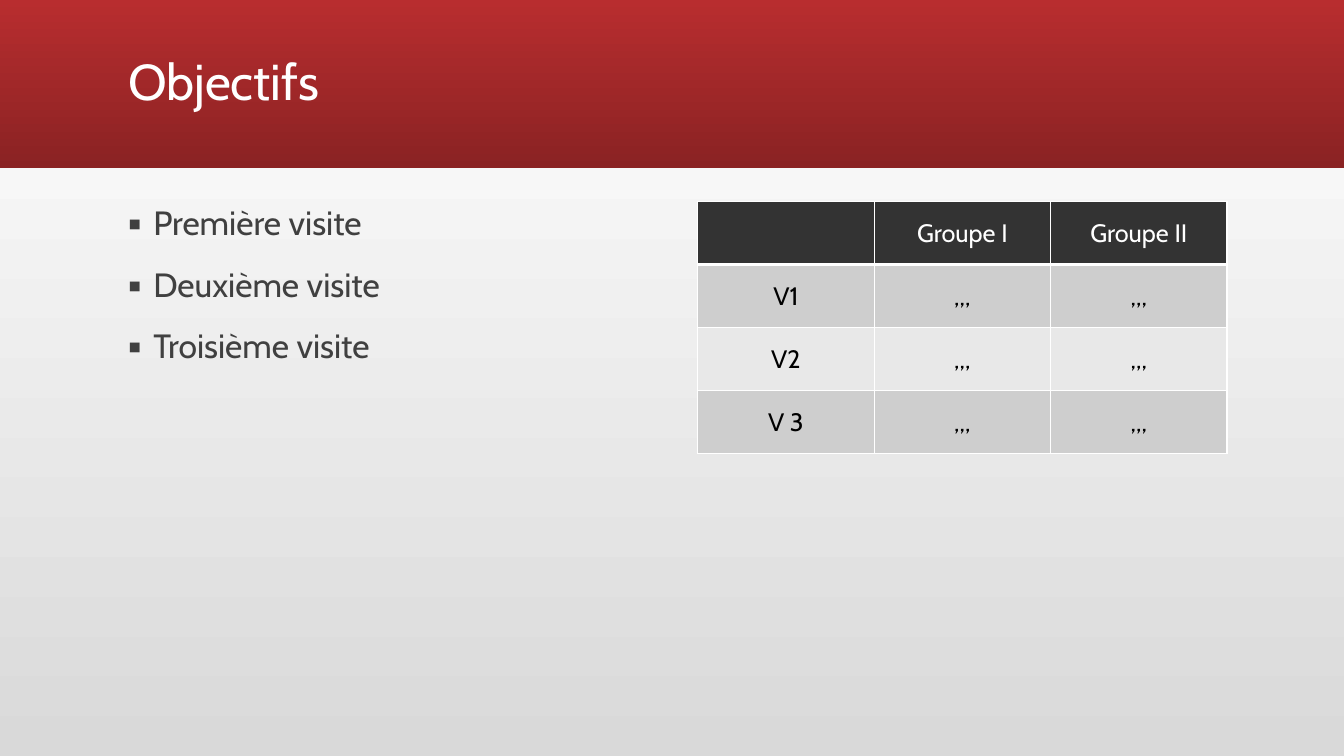
"""Build the objectives slide: a title band, a list of visits and a table of groups."""
from dataclasses import dataclass

from lxml import etree
from pptx import Presentation
from pptx import util as u
from pptx.dml import color, fill as fills
from pptx.enum import shapes, text
from pptx.oxml import ns


@dataclass(frozen=True)
class Theme:
    """Colours, font and type sizes of the slide."""
    font: str = "Cabin"
    title_size: int = 36
    body_size: int = 24
    table_size: int = 18
    white: str = "FFFFFF"
    black: str = "000000"
    body: str = "404040"
    page_bottom: str = "D9D9D9"
    band_top: str = "B82D2F"
    band_bottom: str = "8A2223"
    header: str = "333333"
    stripes: tuple[str, str] = ("CECECE", "E8E8E8")
    thin: int = 1
    thick: int = 3


@dataclass(frozen=True)
class Area:
    """A rectangle in grid columns and rows, counted from the left margin and the top."""
    column: float
    row: float
    columns: float
    rows: float

    def box(self) -> tuple[int, int, int, int]:
        """Return left, top, width and height."""
        return (MARGIN + int(self.column * UNIT), int(self.row * UNIT),
                int(self.columns * UNIT), int(self.rows * UNIT))


THEME = Theme()
UNIT = u.Inches(0.25)
MARGIN = u.Inches(1.17)
SLIDE_WIDTH, SLIDE_HEIGHT = u.Inches(13.33), u.Inches(7.5)
BAND_HEIGHT = u.Inches(1.67)
TITLE = Area(0, 0.44, 44, 5.8)
VISITS = Area(0, 8, 21, 20)
GROUPS = Area(23, 8, 21, 10)
VISIT_NAMES = ("Première visite", "Deuxième visite", "Troisième visite")
GROUP_ROWS = (
    ("", "Groupe I", "Groupe II"),
    ("V1", ",,,", ",,,"),
    ("V2", ",,,", ",,,"),
    ("V\u00a03", ",,,", ",,,"),
)


def rgb(value: str) -> color.RGBColor:
    """Turn a hexadecimal value into a colour."""
    return color.RGBColor.from_string(value)


def set_gradient(fill: fills.FillFormat, start: str, end: str, angle: float) -> None:
    """Fill with a two-colour linear gradient."""
    fill.gradient()
    fill.gradient_angle = angle
    for stop, value in zip(fill.gradient_stops, (start, end)):
        stop.color.rgb = rgb(value)


def add_text(paragraph, words: str, size: int, value: str) -> None:
    """Add one formatted run to a paragraph."""
    run = paragraph.add_run()
    run.text = words
    run.font.name = THEME.font
    run.font.size = u.Pt(size)
    run.font.color.rgb = rgb(value)


def place(shape, area: Area) -> None:
    """Move and size a shape to its area."""
    shape.left, shape.top, shape.width, shape.height = area.box()


def add_band(slide) -> None:
    """Draw the title band behind the placeholders."""
    band = slide.shapes.add_shape(
        shapes.MSO_SHAPE.RECTANGLE, 0, 0, SLIDE_WIDTH, BAND_HEIGHT)
    band.shadow.inherit = False
    band.line.fill.background()
    set_gradient(band.fill, THEME.band_top, THEME.band_bottom, 270)
    slide.shapes._spTree.insert(2, band._element)


def write_title(shape) -> None:
    """Write the title."""
    place(shape, TITLE)
    frame = shape.text_frame
    frame.auto_size = text.MSO_AUTO_SIZE.NONE
    frame.vertical_anchor = text.MSO_ANCHOR.MIDDLE
    paragraph = frame.paragraphs[0]
    paragraph.alignment = text.PP_ALIGN.LEFT
    paragraph.line_spacing = 0.9
    add_text(paragraph, "Objectifs", THEME.title_size, THEME.white)


def write_visits(shape) -> None:
    """Write the bulleted list of visits."""
    place(shape, VISITS)
    frame = shape.text_frame
    frame.auto_size = text.MSO_AUTO_SIZE.NONE
    for index, name in enumerate(VISIT_NAMES):
        paragraph = frame.add_paragraph() if index else frame.paragraphs[0]
        paragraph.line_spacing = 0.9
        paragraph.space_before = u.Pt(18)
        properties = paragraph._p.get_or_add_pPr()
        properties.set("marL", str(UNIT))
        properties.set("indent", str(-UNIT))
        etree.SubElement(properties, ns.qn("a:buFont"), typeface=THEME.font)
        etree.SubElement(properties, ns.qn("a:buChar"), char="▪")
        add_text(paragraph, name, THEME.body_size, THEME.body)


def set_borders(cell, top: int, bottom: int) -> None:
    """Give a cell white borders, with the top and bottom widths in points."""
    properties = cell._tc.get_or_add_tcPr()
    sides = {"L": THEME.thin, "R": THEME.thin, "T": top, "B": bottom}
    for index, (side, width) in enumerate(sides.items()):
        line = etree.Element(ns.qn(f"a:ln{side}"), w=str(u.Pt(width)))
        solid = etree.SubElement(line, ns.qn("a:solidFill"))
        etree.SubElement(solid, ns.qn("a:srgbClr"), val=THEME.white)
        properties.insert(index, line)


def add_groups(slide) -> None:
    """Add the table of visits by group."""
    table = slide.shapes.add_table(
        len(GROUP_ROWS), len(GROUP_ROWS[0]), *GROUPS.box()).table
    for row, entries in enumerate(GROUP_ROWS):
        is_header = row == 0
        for column, words in enumerate(entries):
            cell = table.cell(row, column)
            cell.fill.solid()
            cell.fill.fore_color.rgb = rgb(
                THEME.header if is_header else THEME.stripes[(row - 1) % 2])
            cell.vertical_anchor = text.MSO_ANCHOR.MIDDLE
            set_borders(cell, THEME.thick if row == 1 else THEME.thin,
                        THEME.thick if is_header else THEME.thin)
            if words:
                paragraph = cell.text_frame.paragraphs[0]
                paragraph.alignment = text.PP_ALIGN.CENTER
                add_text(paragraph, words, THEME.table_size,
                         THEME.white if is_header else THEME.black)


def main() -> None:
    """Build and save the presentation."""
    presentation = Presentation()
    presentation.slide_width, presentation.slide_height = SLIDE_WIDTH, SLIDE_HEIGHT
    slide = presentation.slides.add_slide(presentation.slide_layouts[1])
    set_gradient(slide.background.fill, THEME.page_bottom, THEME.white, 90)
    add_band(slide)
    write_title(slide.shapes.title)
    write_visits(slide.placeholders[1])
    add_groups(slide)
    presentation.save("out.pptx")


if __name__ == "__main__":
    main()
